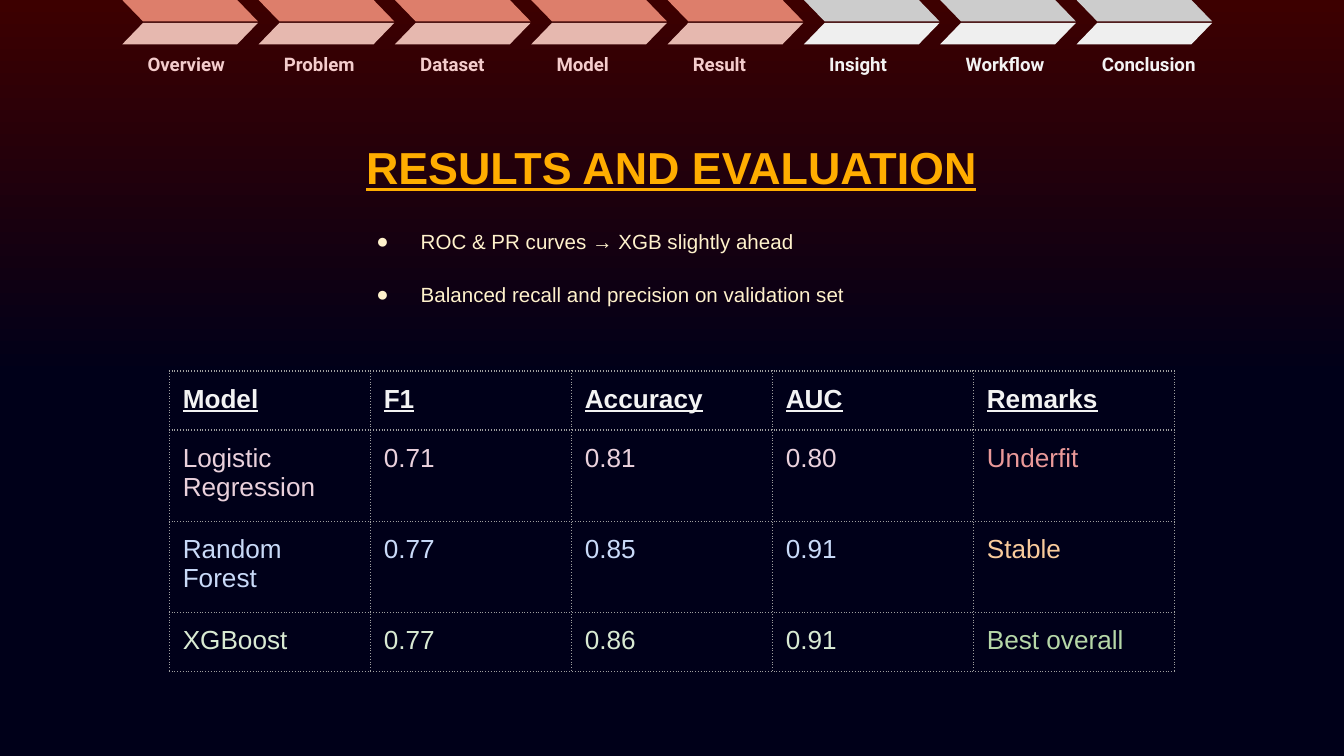
"""Build the results and evaluation slide with its progress tabs and score table."""
import lxml.etree
import pptx
import pptx.dml.color
import pptx.enum.dml
import pptx.enum.shapes
import pptx.enum.text
import pptx.oxml
import pptx.oxml.ns
import pptx.util

TITLE = "RESULTS AND EVALUATION"
BULLETS = [
    ("ROC & PR curves → XGB slightly ahead", 12),
    ("Balanced recall and precision on validation set", 13),
]
TABS = ["Overview", "Problem", "Dataset", "Model", "Result", "Insight", "Workflow", "Conclusion"]
TABS_REACHED = 5
SCORES = [
    ("Model", "F1", "Accuracy", "AUC", "Remarks"),
    ("Logistic Regression", "0.71", "0.81", "0.80", "Underfit"),
    ("Random Forest", "0.77", "0.85", "0.91", "Stable"),
    ("XGBoost", "0.77", "0.86", "0.91", "Best overall"),
]
ROW_HEIGHTS = [0.44, 0.68, 0.68, 0.44]
ROW_COLORS = [("head", "head"), ("pink", "red"), ("blue", "orange"), ("mint", "green")]
COLORS = {
    "top": "3D0000", "night": "000019", "title": "FFAD00", "bullet": "FFF2CC",
    "head": "F3F3F3", "pink": "EAD1DC", "red": "EA9999", "blue": "C9DAF8",
    "orange": "F9CB9C", "mint": "D9EAD3", "green": "B6D7A8", "border": "9E9E9E",
}
TAB_COLORS = {
    True: {"upper": "DD7E6B", "lower": "E6B8AF", "label": "F4CCCC", "width": 0.83},
    False: {"upper": "CCCCCC", "lower": "EFEFEF", "label": "F3F3F3", "width": 0.99},
}
SLIDE_WIDTH = 10
SLIDE_HEIGHT = SLIDE_WIDTH * 9 / 16
TAB_LEFT, TAB_LAST, TAB_WIDTH, TAB_HEIGHT = 0.91, 8.01, 1.01, 0.16
TAB_PITCH = (TAB_LAST - TAB_LEFT) / (len(TABS) - 1)
TABLE_WIDTH = 7.48
INCH = pptx.util.Inches
ANCHOR = pptx.enum.text.MSO_ANCHOR
AUTO_SIZE = pptx.enum.text.MSO_AUTO_SIZE


def rgb(value):
    return pptx.dml.color.RGBColor.from_string(value)


def place(shape, left, top, width, height):
    shape.left, shape.top = INCH(left), INCH(top)
    shape.width, shape.height = INCH(width), INCH(height)


def set_frame(frame, anchor=ANCHOR.TOP, auto_size=AUTO_SIZE.NONE):
    frame.word_wrap = True
    frame.auto_size = auto_size
    frame.vertical_anchor = anchor
    frame.margin_left = frame.margin_right = INCH(0.1)
    frame.margin_top = frame.margin_bottom = INCH(0.1)


def write(para, text, size, color, font="Arial", bold=False, underline=False):
    para.text = text
    for span in para.runs:
        span.font.name = font
        span.font.size = pptx.util.Pt(size)
        span.font.bold = bold
        span.font.underline = underline
        span.font.color.rgb = rgb(color)


def add_background(page):
    fill = page.background.fill
    fill.gradient()
    fill.gradient_angle = 270
    for stop, position, name in zip(fill.gradient_stops, (0, 0.5), ("top", "night")):
        stop.position = position
        stop.color.rgb = rgb(COLORS[name])


def add_title(page):
    box = page.shapes.title
    place(box, 2.29, 0.88, 5.41, 0.47)
    set_frame(box.text_frame)
    para = box.text_frame.paragraphs[0]
    write(para, TITLE, 24, COLORS["title"], bold=True, underline=True)
    para.alignment = pptx.enum.text.PP_ALIGN.CENTER
    para.line_spacing = 1.15
    para.space_before, para.space_after = pptx.util.Pt(14), pptx.util.Pt(4)


def add_bullets(page):
    box = page.placeholders[1]
    place(box, 2.53, 1.58, 4.07, 0.81)
    frame = box.text_frame
    set_frame(frame, auto_size=AUTO_SIZE.SHAPE_TO_FIT_TEXT)
    frame.text = "\n".join(text for text, gap in BULLETS)
    for para, (text, gap) in zip(frame.paragraphs, BULLETS):
        write(para, text, 11, COLORS["bullet"])
        para.line_spacing = 1.15
        para.space_before = pptx.util.Pt(gap)
        properties = para._p.get_or_add_pPr()
        properties.set("marL", str(INCH(0.5)))
        properties.set("indent", str(-INCH(0.33)))
        color = lxml.etree.SubElement(properties, pptx.oxml.ns.qn("a:buClr"))
        lxml.etree.SubElement(color, pptx.oxml.ns.qn("a:srgbClr"), val=COLORS["bullet"])
        lxml.etree.SubElement(properties, pptx.oxml.ns.qn("a:buChar"), char="●")


def add_borders(cell):
    properties = cell._tc.get_or_add_tcPr()
    for side in ("lnL", "lnR", "lnT", "lnB"):
        properties.append(pptx.oxml.parse_xml(
            f'<a:{side} {pptx.oxml.ns.nsdecls("a")} w="{pptx.util.Pt(0.75)}"><a:solidFill>'
            f'<a:srgbClr val="{COLORS["border"]}"/></a:solidFill>'
            f'<a:prstDash val="dot"/></a:{side}>'))


def add_scores(page):
    columns = len(SCORES[0])
    frame = page.shapes.add_table(
        len(SCORES), columns, INCH(1.26), INCH(2.76),
        INCH(TABLE_WIDTH), INCH(sum(ROW_HEIGHTS)))
    table = frame.table
    table.first_row = table.horz_banding = False
    for r, (values, colors) in enumerate(zip(SCORES, ROW_COLORS)):
        table.rows[r].height = INCH(ROW_HEIGHTS[r])
        for c, value in enumerate(values):
            cell = table.cell(r, c)
            cell.margin_left = cell.margin_right = INCH(0.1)
            cell.margin_top = cell.margin_bottom = INCH(0.1)
            add_borders(cell)
            cell.fill.background()
            color = COLORS[colors[c == columns - 1]]
            write(cell.text_frame.paragraphs[0], value, 14, color, bold=r == 0, underline=r == 0)


def add_tab(page, index, name):
    style = TAB_COLORS[index < TABS_REACHED]
    left = TAB_LEFT + index * TAB_PITCH
    group = page.shapes.add_group_shape()
    label = group.shapes.add_textbox(
        INCH(left + 0.09), INCH(0.17), INCH(style["width"]), INCH(0.49))
    set_frame(label.text_frame, ANCHOR.BOTTOM)
    para = label.text_frame.paragraphs[0]
    write(para, name, 10, style["label"], font="Roboto", bold=True)
    para.line_spacing = 1.15
    for half, top in (("upper", 0), ("lower", 0.17)):
        wing = group.shapes.add_shape(
            pptx.enum.shapes.MSO_SHAPE.PARALLELOGRAM,
            INCH(left), INCH(top), INCH(TAB_WIDTH), INCH(TAB_HEIGHT))
        wing.adjustments[0] = 0.97
        wing.shadow.inherit = False
        wing.fill.solid()
        wing.fill.fore_color.rgb = rgb(style[half])
        wing.line.fill.background()
        if half == "upper":
            wing.element.spPr.xfrm.set("flipH", "1")


def main():
    deck = pptx.Presentation()
    deck.slide_width, deck.slide_height = INCH(SLIDE_WIDTH), INCH(SLIDE_HEIGHT)
    page = deck.slides.add_slide(deck.slide_layouts[1])
    add_background(page)
    add_title(page)
    add_bullets(page)
    add_scores(page)
    for index, name in enumerate(TABS):
        add_tab(page, index, name)
    deck.save("out.pptx")


if __name__ == "__main__":
    main()
